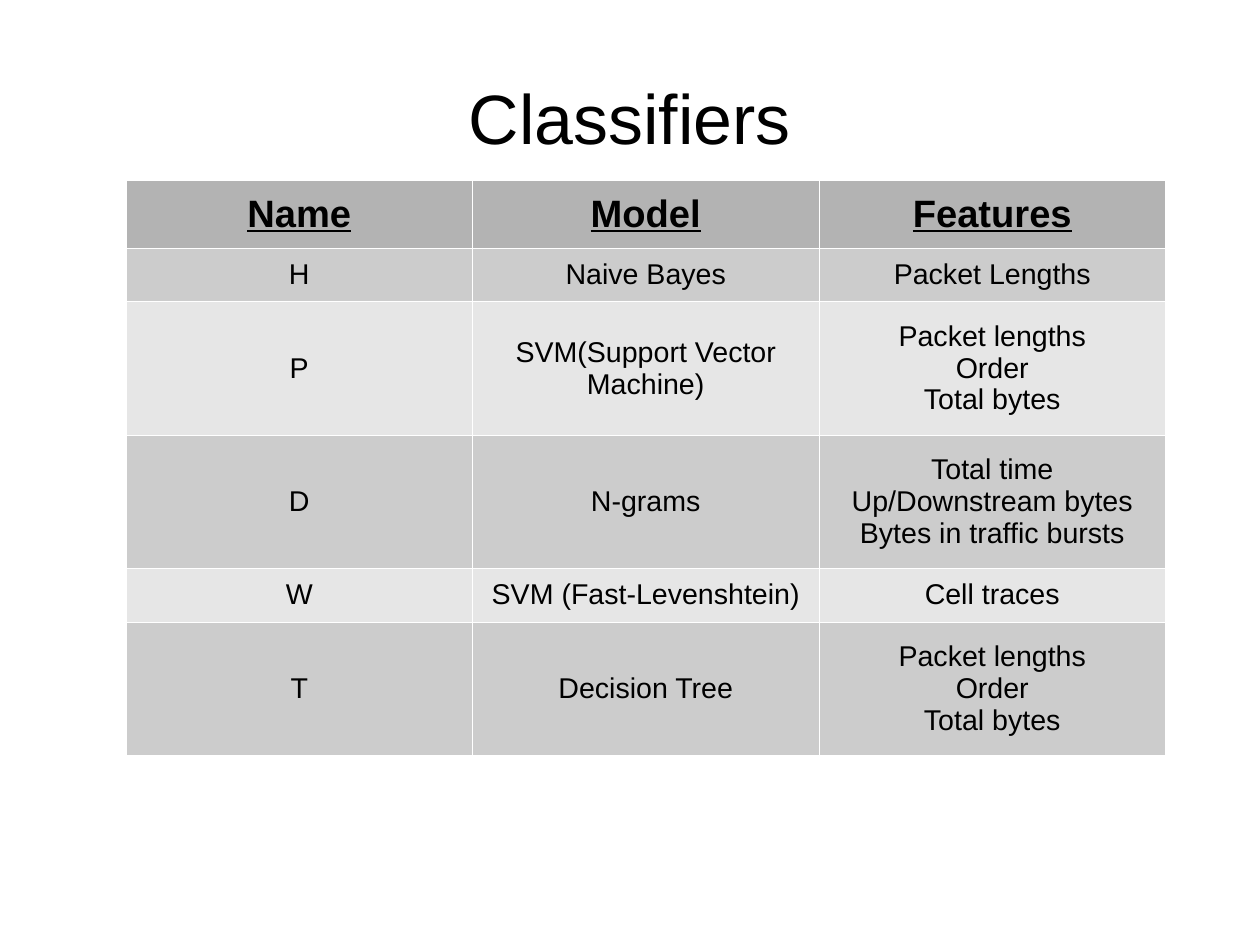
"""Build the Classifiers slide: a title above a table of models and features."""
from lxml import etree
from pptx import Presentation
from pptx.dml.color import RGBColor
from pptx.enum.text import MSO_ANCHOR, PP_ALIGN
from pptx.oxml import parse_xml
from pptx.util import Cm, Pt

CENTER, MIDDLE = PP_ALIGN.CENTER, MSO_ANCHOR.MIDDLE
NS = "http://schemas.openxmlformats.org/drawingml/2006/main"
THEME = {
    "font": "Arial", "text": "000000", "border": "FFFFFF", "border_pt": 0.06,
    "header": "B3B3B3", "bands": ("CCCCCC", "E6E6E6"),
    "title_pt": 44, "header_pt": 24, "body_pt": 18,
}
ROWS = [
    ("Name", "Model", "Features"),
    ("H", "Naive Bayes", "Packet Lengths"),
    ("P", "SVM(Support Vector Machine)", "Packet lengths\nOrder\nTotal bytes"),
    ("D", "N-grams", "Total time\nUp/Downstream bytes\nBytes in traffic bursts"),
    ("W", "SVM (Fast-Levenshtein)", "Cell traces"),
    ("T", "Decision Tree", "Packet lengths\nOrder\nTotal bytes"),
]
HEADER_ROW, SINGLE_ROW, TRIPLE_ROW = 7.1, 5.7, 14.1


def write(tf, text, size, strong=False):
    """Write one centred paragraph per line of text."""
    for i, line in enumerate(text.split("\n")):
        p = tf.paragraphs[0] if i == 0 else tf.add_paragraph()
        p.alignment = CENTER
        r = p.add_run()
        r.text = line
        r.font.name, r.font.size = THEME["font"], Pt(size)
        r.font.bold = r.font.underline = strong
        r.font.color.rgb = RGBColor.from_string(THEME["text"])


def add_borders(cell):
    """Draw the four thin cell borders."""
    tc_pr = cell._tc.get_or_add_tcPr()
    for side in ("lnL", "lnR", "lnT", "lnB"):
        ln = etree.SubElement(tc_pr, f"{{{NS}}}{side}", w=str(Pt(THEME["border_pt"])))
        ln.append(parse_xml(
            f'<a:solidFill xmlns:a="{NS}"><a:srgbClr val="{THEME["border"]}"/></a:solidFill>'))


prs = Presentation()
prs.slide_width, prs.slide_height = Cm(28), Cm(21)
W, H = prs.slide_width / 100, prs.slide_height / 100
s = prs.slides.add_slide(prs.slide_layouts[6])

title = s.shapes.add_textbox(int(W * 5), int(H * 4), int(W * 90), int(H * 16.7))
tf = title.text_frame
tf.word_wrap = True
tf.vertical_anchor = MIDDLE
tf.margin_left = tf.margin_right = tf.margin_top = tf.margin_bottom = 0
write(tf, "Classifiers", THEME["title_pt"])

heights = [HEADER_ROW] + [TRIPLE_ROW if "\n" in row[-1] else SINGLE_ROW
                          for row in ROWS[1:]]
table = s.shapes.add_table(len(ROWS), len(ROWS[0]), int(W * 10), int(H * 19.1),
                           int(W * 82.5), int(H * sum(heights))).table
table.horz_banding = False
for column in table.columns:
    column.width = int(W * 27.5)

for i, row in enumerate(ROWS):
    table.rows[i].height = int(H * heights[i])
    header = i == 0
    fill = THEME["header"] if header else THEME["bands"][(i - 1) % 2]
    size = THEME["header_pt"] if header else THEME["body_pt"]
    for j, text in enumerate(row):
        cell = table.cell(i, j)
        cell.vertical_anchor = MIDDLE
        add_borders(cell)
        cell.fill.solid()
        cell.fill.fore_color.rgb = RGBColor.from_string(fill)
        write(cell.text_frame, text, size, strong=header)

prs.save("out.pptx")
